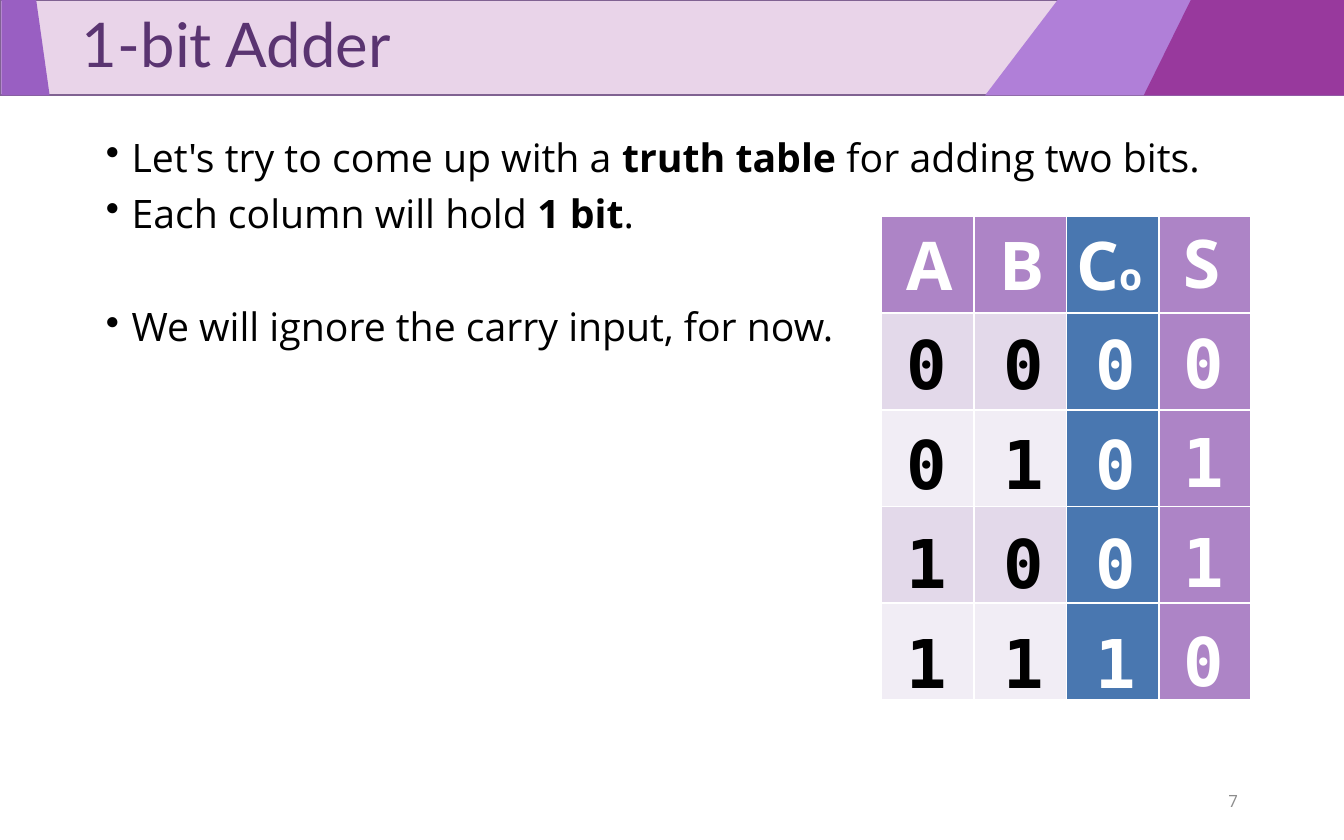
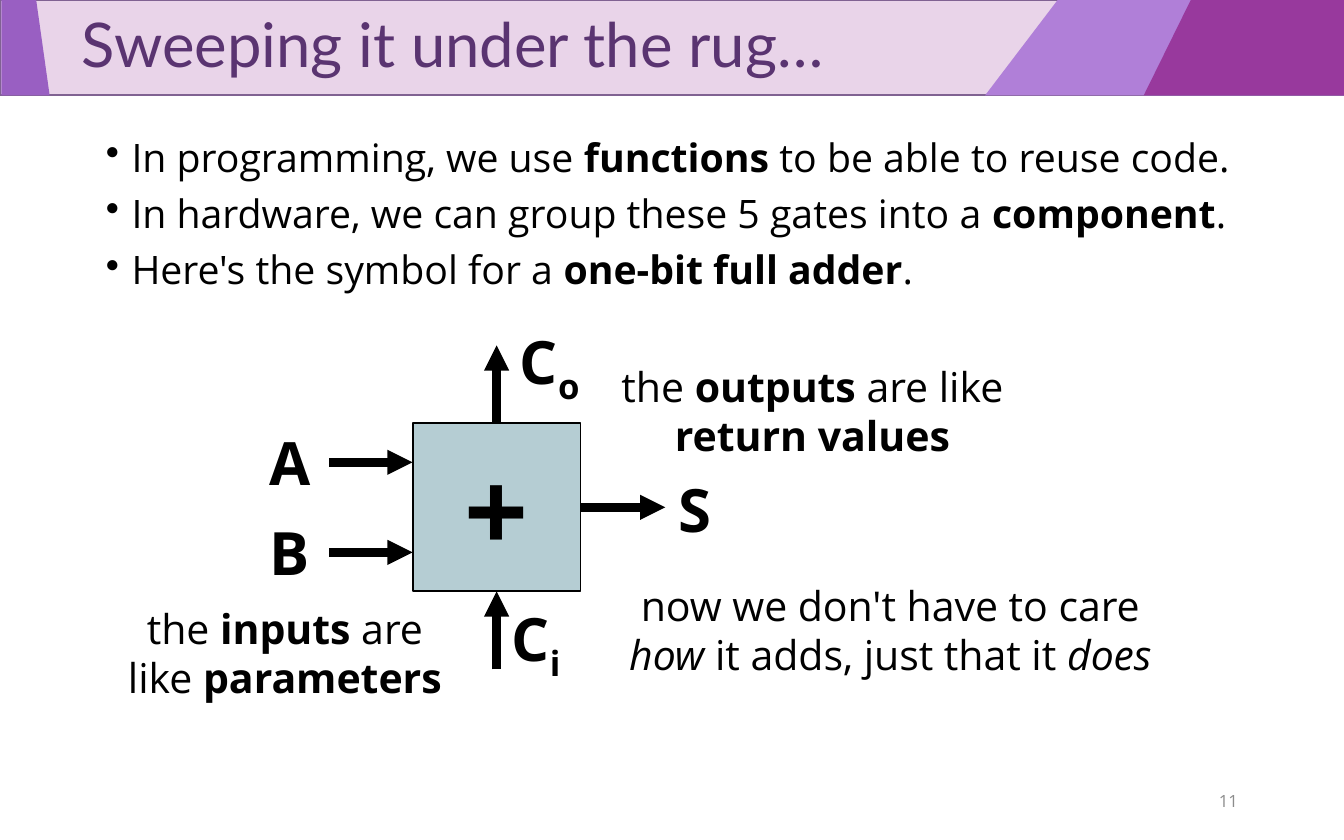
import lxml.etree
import pptx
import pptx.dml.color
import pptx.enum.shapes
import pptx.enum.text
import pptx.oxml
import pptx.oxml.ns
import pptx.util

Inches = pptx.util.Inches
Pt = pptx.util.Pt
RGBColor = pptx.dml.color.RGBColor
ALIGN = pptx.enum.text.PP_ALIGN
ANCHOR = pptx.enum.text.MSO_ANCHOR
RECTANGLE = pptx.enum.shapes.MSO_SHAPE.RECTANGLE
STRAIGHT = pptx.enum.shapes.MSO_CONNECTOR.STRAIGHT
qn = pptx.oxml.ns.qn

BLACK = RGBColor(0x00, 0x00, 0x00)
WHITE = RGBColor(0xFF, 0xFF, 0xFF)
GRAY = RGBColor(0x8C, 0x8C, 0x8C)
TITLE_PURPLE = RGBColor(0x5A, 0x34, 0x71)
BAND_PINK = RGBColor(0xE9, 0xD4, 0xE9)
BAND_LINE = RGBColor(0x80, 0x62, 0x92)
BAND_LILAC = RGBColor(0xB0, 0x7F, 0xD8)
BAND_VIOLET = RGBColor(0x99, 0x5F, 0xC2)
BAND_MAGENTA = RGBColor(0x98, 0x39, 0x9D)
SUM_PURPLE = RGBColor(0xAD, 0x84, 0xC6)
CARRY_BLUE = RGBColor(0x49, 0x77, 0xB0)
ROW_DARK = RGBColor(0xE3, 0xD9, 0xEA)
ROW_LIGHT = RGBColor(0xF1, 0xED, 0xF5)
ADDER_TEAL = RGBColor(0xB5, 0xCD, 0xD3)

BAND_HEIGHT = 0.71


def write(frame, text, size=21, font="Open Sans", color=BLACK, bold=False, align=ALIGN.LEFT,
          emphasis="bold", anchor=ANCHOR.TOP, wrap=True, indent=0, bullet=False,
          line_spacing=None, gaps=()):
    frame.word_wrap = wrap
    frame.vertical_anchor = anchor
    for index, line in enumerate(text.split("\n")):
        paragraph = frame.paragraphs[0] if index == 0 else frame.add_paragraph()
        properties = paragraph._p.get_or_add_pPr()
        if indent:
            properties.set("marL", str(Inches(indent)))
            properties.set("indent", str(Inches(-indent if bullet else 0)))
        if bullet:
            lxml.etree.SubElement(properties, qn("a:buChar")).set("char", "•")
        paragraph.alignment = align
        if line_spacing:
            paragraph.line_spacing = line_spacing
        if index and gaps:
            paragraph.space_before = Pt(gaps[index - 1])
        for position, part in enumerate(line.split("*")):
            if not part:
                continue
            run = paragraph.add_run()
            run.text = part
            run.font.name = font
            run.font.size = Pt(size)
            run.font.color.rgb = color
            run.font.bold = bold
            if position % 2:
                if emphasis == "bold":
                    run.font.bold = True
                elif emphasis == "italic":
                    run.font.italic = True
                elif emphasis == "small":
                    run.font.size = Pt(20)
                elif emphasis == "subscript":
                    run.font._element.set("baseline", "-25000")


def add_text(slide, left, top, width, height, text, **style):
    box = slide.shapes.add_textbox(Inches(left), Inches(top), Inches(width), Inches(height))
    write(box.text_frame, text, **style)


presentation = pptx.Presentation()
presentation.slide_width = Inches(10)
presentation.slide_height = Inches(6.25)
layout = presentation.slide_layouts[5]
for placeholder in list(layout.placeholders)[1:]:
    layout.shapes.element.remove(placeholder.element)

contents = [
    ("1-bit Adder", "7",
     "Let's try to come up with a *truth table *for adding two bits.\n"
     "Each column will hold *1 bit*.\n"
     "We will ignore the carry input, for now.", (7.5, 38)),
    ("Sweeping it under the rug…", "11",
     "In programming, we use *functions* to be able to reuse code.\n"
     "In hardware, we can group these 5 gates into a *component*.\n"
     "Here's the symbol for a *one-bit full adder*.", (7.5, 7.5)),
]
slides = [presentation.slides.add_slide(layout) for _ in contents]
truth_slide, symbol_slide = slides

band = truth_slide.shapes.add_shape(RECTANGLE, 0, 0, Inches(10), Inches(BAND_HEIGHT))
band.fill.solid()
band.fill.fore_color.rgb = BAND_PINK
band.line.color.rgb = BAND_LINE
band.line.width = Pt(1)
band_parts = [band]
for top_left, top_right, bottom_right, bottom_left, color in [
    (7.87, 10, 10, 7.33, BAND_LILAC),
    (0.01, 0.27, 0.37, 0.01, BAND_VIOLET),
    (8.86, 10, 10, 8.51, BAND_MAGENTA),
]:
    outline = truth_slide.shapes.build_freeform(Inches(top_left), 0)
    outline.add_line_segments([
        (Inches(top_right), 0),
        (Inches(bottom_right), Inches(BAND_HEIGHT)),
        (Inches(bottom_left), Inches(BAND_HEIGHT)),
    ])
    slant = outline.convert_to_shape()
    slant.fill.solid()
    slant.fill.fore_color.rgb = color
    slant.line.fill.background()
    band_parts.append(slant)
for depth, part in enumerate(band_parts):
    part.shadow.inherit = False
    layout.shapes.element.insert(2 + depth, part.element)

for slide, (heading, number, points, gaps) in zip(slides, contents):
    title = slide.shapes.title
    title.left, title.top = Inches(0.01), 0
    title.width, title.height = Inches(10), Inches(BAND_HEIGHT)
    title.text_frame.auto_size = pptx.enum.text.MSO_AUTO_SIZE.NONE
    write(title.text_frame, heading, size=33, font="Lato", color=TITLE_PURPLE,
          anchor=ANCHOR.MIDDLE, indent=0.5, line_spacing=0.9)
    add_text(slide, 0.69, 0.98, 8.62, 4.65, points, indent=0.19, bullet=True,
             line_spacing=0.9, gaps=gaps)
    add_text(slide, 7.06, 5.79, 2.25, 0.33, number, size=9, color=GRAY,
             align=ALIGN.RIGHT, anchor=ANCHOR.MIDDLE)

truth_table = truth_slide.shapes.add_table(
    5, 4, Inches(6.56), Inches(1.61), Inches(2.75), Inches(3.6)).table
for row_index, row in enumerate(truth_table.rows):
    row.height = Inches(0.72)
    input_fill = SUM_PURPLE if row_index == 0 else ROW_DARK if row_index % 2 else ROW_LIGHT
    for cell, color in zip(row.cells, [input_fill, input_fill, CARRY_BLUE, SUM_PURPLE]):
        cell.fill.solid()
        cell.fill.fore_color.rgb = color

for header, header_left, header_width, bits, bits_left, top, color in [
    ("A", 6.65, 0.56, "0011", 6.65, 1.61, BLACK),
    ("B", 7.34, 0.53, "0101", 7.37, 1.61, BLACK),
    ("C*o*", 7.91, 0.74, "0001", 8.05, 1.61, WHITE),
    ("S", 8.71, 0.48, "0110", 8.71, 1.6, WHITE),
]:
    add_text(truth_slide, header_left, top, header_width, 0.71, header, size=36,
             color=WHITE, bold=True, emphasis="small", wrap="*" in header)
    for bit_index, bit in enumerate(bits, start=1):
        add_text(truth_slide, bits_left, top + 0.74 * bit_index, 0.49, 0.71, bit, size=36,
                 font="DejaVu Sans Mono", color=color, bold=True, wrap=False)

adder_left, adder_top, adder_side = 3.07, 3.15, 1.25
adder_right, adder_bottom = adder_left + adder_side, adder_top + adder_side
adder_x, adder_y = adder_left + adder_side / 2, adder_top + adder_side / 2
adder = symbol_slide.shapes.add_shape(
    RECTANGLE, Inches(adder_left), Inches(adder_top), Inches(adder_side), Inches(adder_side))
adder.shadow.inherit = False
adder.fill.solid()
adder.fill.fore_color.rgb = ADDER_TEAL
adder.line.color.rgb = BLACK
adder.line.width = Pt(1)
write(adder.text_frame, "+", size=60, bold=True, align=ALIGN.CENTER, anchor=ANCHOR.MIDDLE)

for x1, y1, x2, y2, begin_side, end_side in [
    (2.45, 3.44, adder_left, 3.44, None, None),
    (2.45, 4.11, adder_left, 4.11, None, None),
    (adder_right, adder_y, 4.95, adder_y, 3, None),
    (adder_x, 4.98, adder_x, adder_bottom, None, 2),
    (adder_x, adder_top, adder_x, 2.57, 0, None),
]:
    wire = symbol_slide.shapes.add_connector(
        STRAIGHT, Inches(x1), Inches(y1), Inches(x2), Inches(y2))
    if begin_side is not None:
        wire.begin_connect(adder, begin_side)
    if end_side is not None:
        wire.end_connect(adder, end_side)
    wire.line.color.rgb = BLACK
    wire.line.width = Pt(4.5)
    lxml.etree.SubElement(wire.line._get_or_add_ln(), qn("a:tailEnd")).set("type", "triangle")
    lxml.etree.SubElement(wire.element.spPr, qn("a:effectLst"))

for signal, left, top, width in [
    ("B", 1.91, 3.79, 0.67),
    ("A", 1.91, 3.12, 0.67),
    ("C*i*", 3.71, 4.43, 1.11),
    ("C*o*", 3.77, 2.37, 1.11),
    ("S", 4.95, 3.47, 1.23),
]:
    add_text(symbol_slide, left, top, width, 0.64, signal, size=32, bold=True,
             emphasis="subscript")

for remark, left, top, width, emphasis in [
    ("the *inputs* are like *parameters*", 0.85, 4.44, 2.54, "bold"),
    ("the *outputs* are like *return values*", 4.41, 2.64, 3.27, "bold"),
    ("now we don't have to care *how* it adds, just that it *does*", 4.44, 4.27, 4.37, "italic"),
]:
    add_text(symbol_slide, left, top, width, 0.84, remark, size=22, align=ALIGN.CENTER,
             emphasis=emphasis)

presentation.save("out.pptx")
